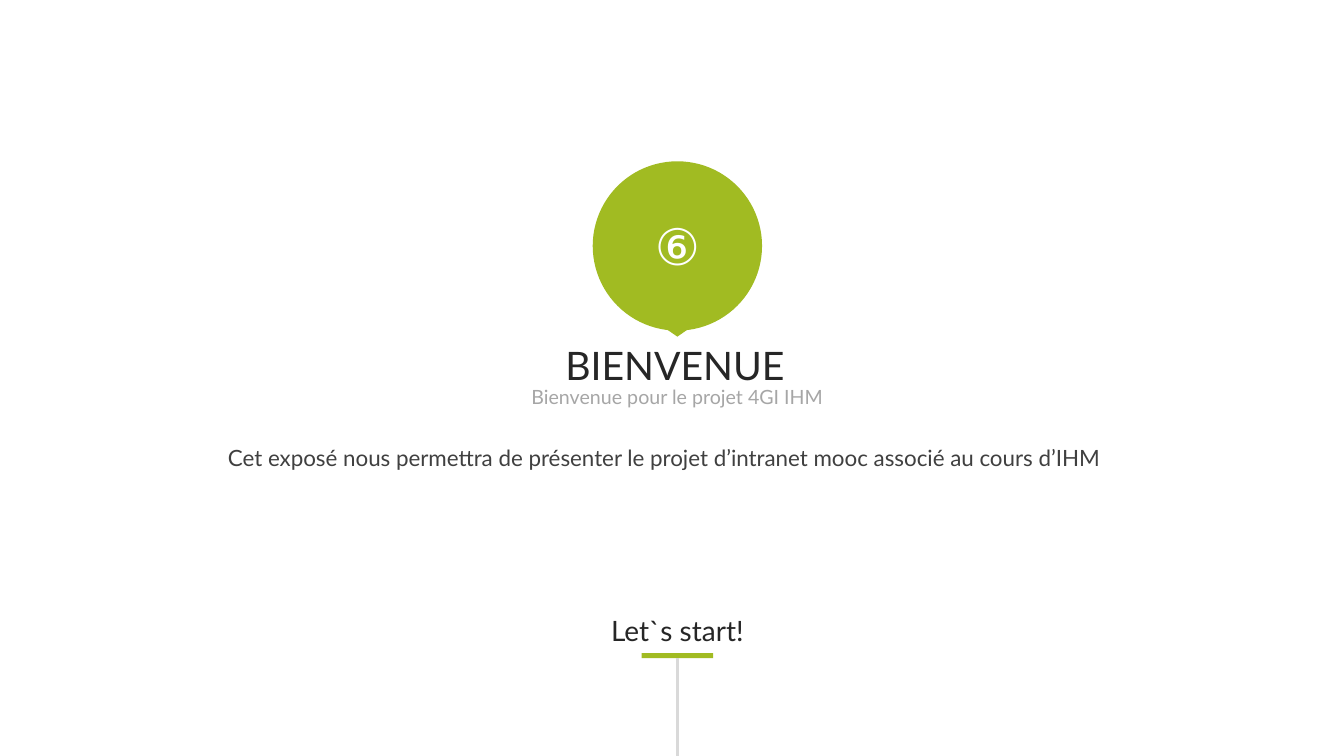
import pptx
import pptx.util
import pptx.dml.color
import pptx.enum.shapes
import pptx.enum.text
import pptx.oxml.ns
import lxml.etree

HUES = {"lime": "A1BB22", "white": "FFFFFF", "ink": "262626",
        "body": "404040", "pale": "A6A6A6", "rule": "D9D9D9"}
FORMS = pptx.enum.shapes.MSO_SHAPE
CELL = 0.1      # inches per grid column and row
COLS, ROWS = 133.33, 75
MID = 67.2      # column of the main axis


def span(cells):
    """Turn grid cells into a length."""
    return pptx.util.Inches(cells * CELL)


def hue(name):
    """Look up a named colour."""
    return pptx.dml.color.RGBColor.from_string(HUES[name])


class Page:
    """Hold the style and the current slide."""

    font = "Lato"

    def __init__(self, deck):
        """Add a blank slide."""
        self.slide = deck.slides.add_slide(deck.slide_layouts[6])
        self.items = self.slide.shapes

    def place(self, mid, top, wide, high):
        """Give the box centred on a column."""
        return [span(n) for n in (mid - wide / 2, top, wide, high)]

    def shape(self, form, top, wide, high, home=None):
        """Draw a plain lime shape on the axis."""
        home = home or self.items
        item = home.add_shape(form, *self.place(MID, top, wide, high))
        item.shadow.inherit = False
        item.fill.solid()
        item.fill.fore_color.rgb = hue("lime")
        item.line.fill.background()

    def text(self, words, top, wide, high, size, tint,
             mid=MID, font=None, wrap=True):
        """Write one centred line of text."""
        box = self.items.add_textbox(*self.place(mid, top, wide, high))
        frame = box.text_frame
        frame.word_wrap = wrap
        frame.auto_size = pptx.enum.text.MSO_AUTO_SIZE.SHAPE_TO_FIT_TEXT
        line = frame.paragraphs[0]
        line.text = words
        line.alignment = pptx.enum.text.PP_ALIGN.CENTER
        line.font.name = font or self.font
        line.font.size = pptx.util.Pt(size)
        line.font.color.rgb = hue(tint)

    def stem(self, top, end):
        """Draw an upright line on the axis."""
        kind = pptx.enum.shapes.MSO_CONNECTOR.STRAIGHT
        line = self.items.add_connector(
            kind, span(MID), span(top), span(MID), span(end))
        line.line.color.rgb = hue("rule")
        line.line.width = pptx.util.Pt(2.25)
        lxml.etree.SubElement(line.element.spPr,
                              pptx.oxml.ns.qn("a:effectLst"))


def main():
    """Build the welcome slide."""
    deck = pptx.Presentation()
    deck.slide_width, deck.slide_height = span(COLS), span(ROWS)
    page = Page(deck)

    badge = page.items.add_group_shape().shapes
    page.shape(FORMS.OVAL, 16, 16.8, 16.8, badge)
    page.shape(FORMS.DIAMOND, 31.6, 2.6, 1.8, badge)
    page.text("⑥", 20.8, 7.1, 7.1, 36, "white", font="Arial", wrap=False)

    page.text("BIENVENUE", 33.4, 42.1, 5.7, 28, "ink", mid=66.95)
    page.text("Bienvenue pour le projet 4GI IHM", 37.7, 42.1, 3.4, 14, "pale")
    page.text("Cet exposé nous permettra de présenter le projet d’intranet "
              "mooc associé au cours d’IHM", 43.6, 89, 3.7, 16, "body",
              mid=65.9)
    page.text("Let`s start!", 60.4, 42.1, 4.4, 20, "ink")

    page.shape(FORMS.RECTANGLE, 64.8, 7.1, 0.5)
    page.stem(65.3, ROWS)
    deck.save("out.pptx")


main()
